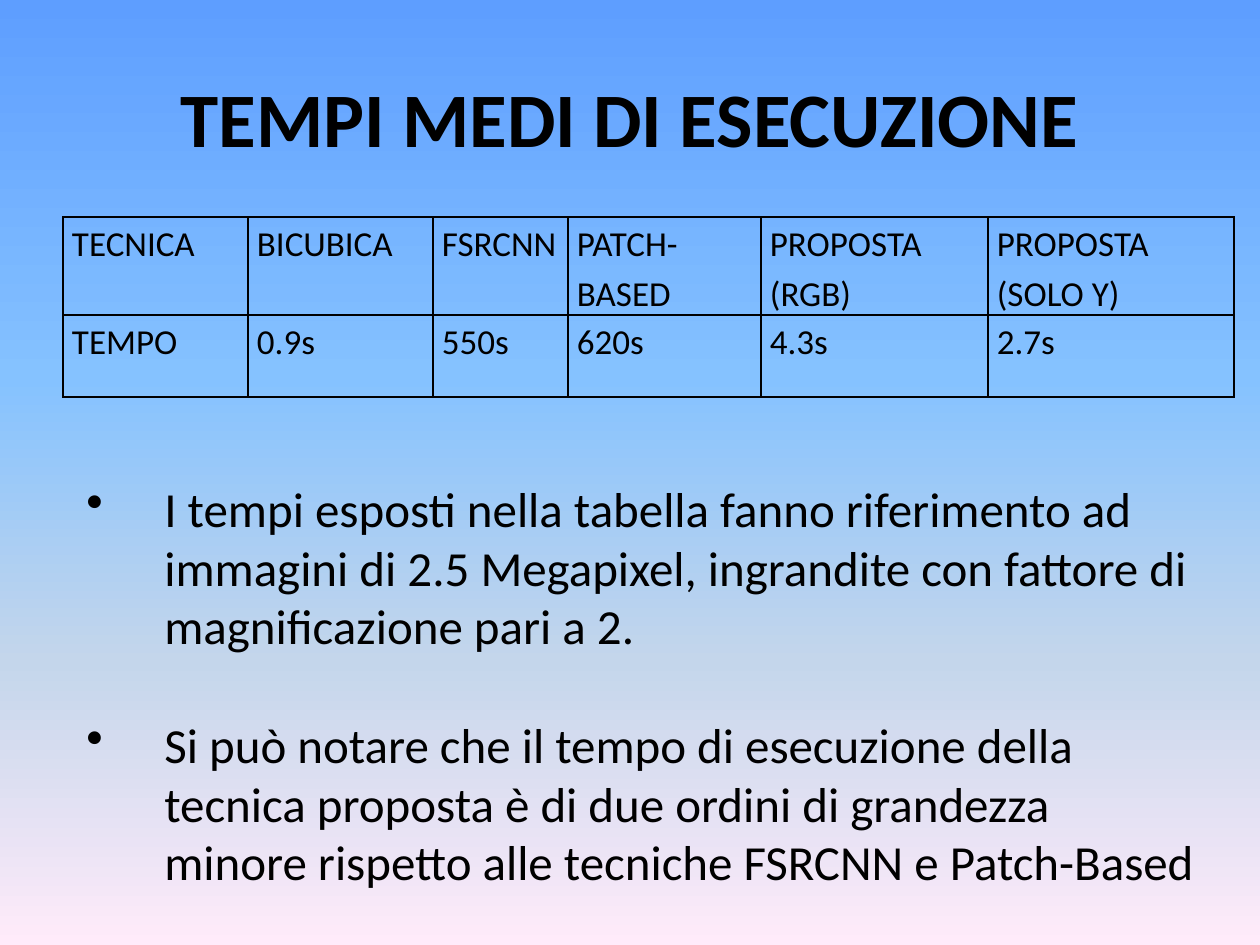
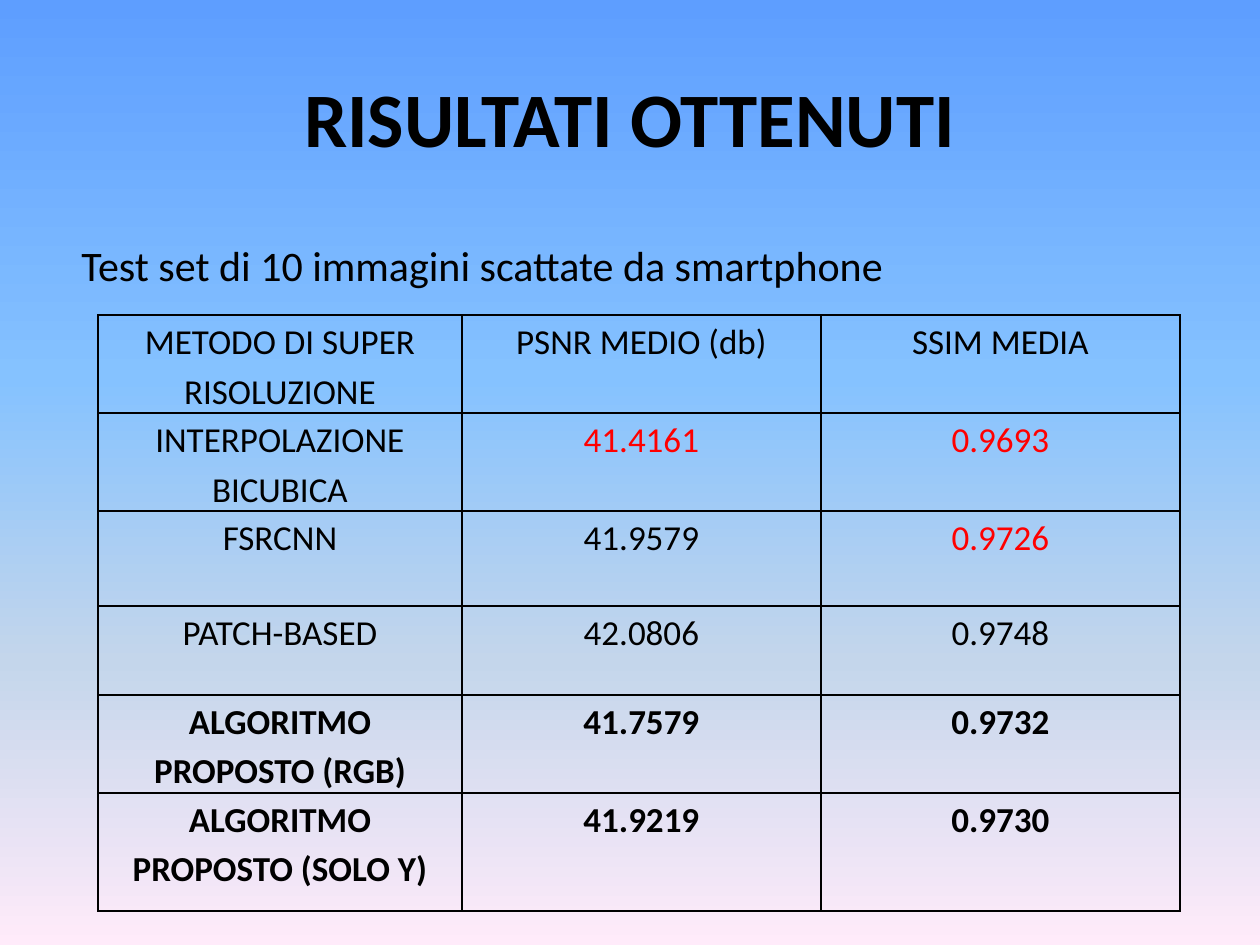
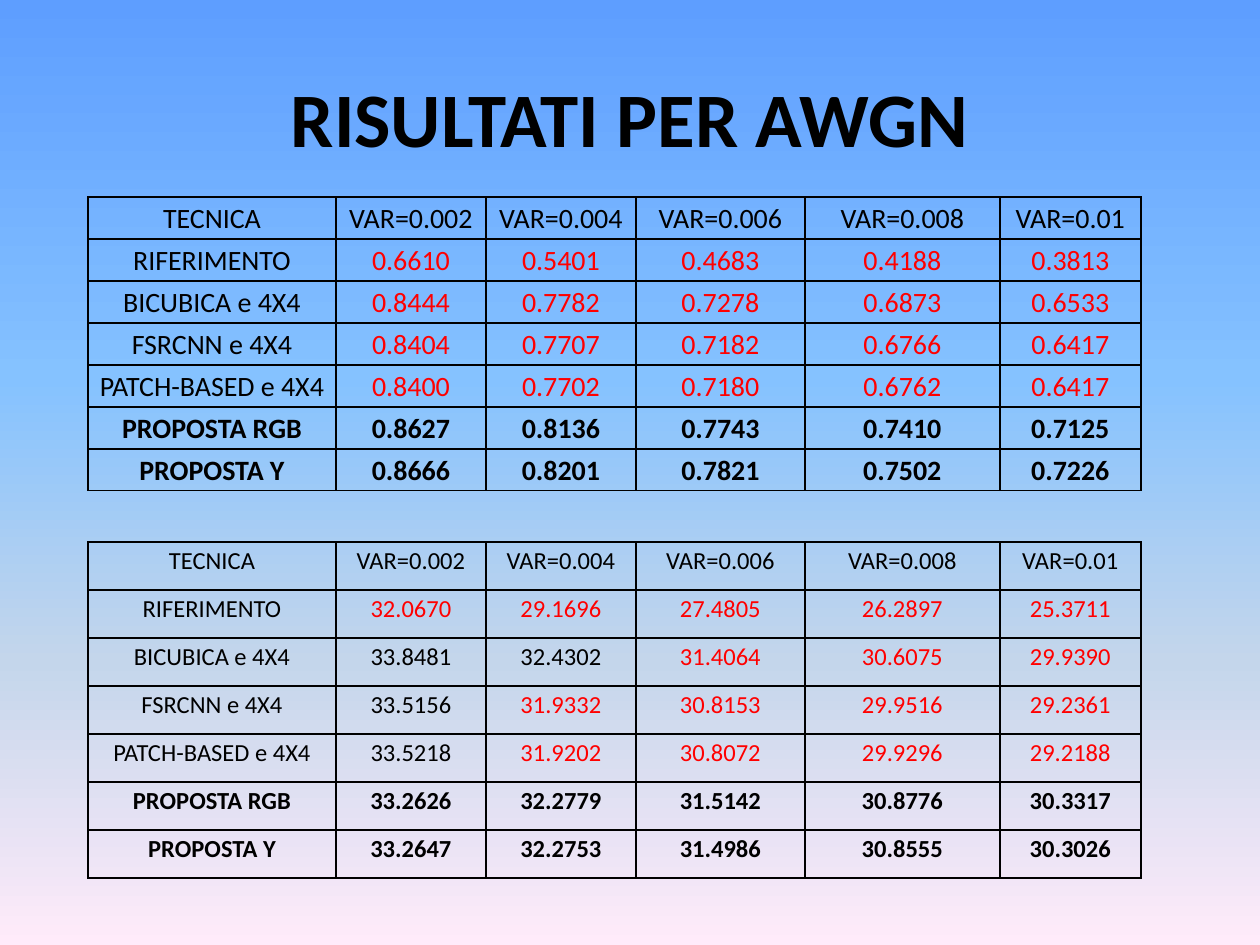
from lxml.etree import SubElement
from pptx import Presentation
from pptx.dml.color import RGBColor as Rgb
from pptx.enum.text import MSO_ANCHOR as Anchor, PP_ALIGN as Align
from pptx.oxml.ns import qn
from pptx.util import Emu, Pt

EMU_PER_PX = 914400 / 126
FONT = "Calibri"
COLORS = {
    "ink": "000000",
    "worse": "FF0000",
    "sky_top": "5E9EFF",
    "sky_mid": "85C2FF",
    "haze": "C4D6EB",
    "blush": "FFEBFA",
}
BACKGROUND_STOPS = [(0, "sky_top"), (40, "sky_mid"), (70, "haze"), (100, "blush")]
METHOD_ROWS = ["RIFERIMENTO", "BICUBICA e 4X4", "FSRCNN e 4X4",
               "PATCH-BASED e 4X4", "PROPOSTA RGB", "PROPOSTA Y"]
NOISE_HEADER = ["TECNICA", "VAR=0.002", "VAR=0.004", "VAR=0.006", "VAR=0.008", "VAR=0.01"]
NOISE_COLUMNS = [248, 150, 150, 169, 195, 141]
PROPOSED_COUNT = 2

EXECUTION_TIMES = [
    ["TECNICA", "BICUBICA", "FSRCNN", "PATCH-BASED", "PROPOSTA (RGB)", "PROPOSTA (SOLO Y)"],
    ["TEMPO", "0.9s", "550s", "620s", "4.3s", "2.7s"],
]
TIME_REMARKS = [
    "I tempi esposti nella tabella fanno riferimento ad immagini di 2.5 Megapixel, "
    "ingrandite con fattore di magnificazione pari a 2.",
    "Si può notare che il tempo di esecuzione della tecnica proposta è di due ordini "
    "di grandezza minore rispetto alle tecniche FSRCNN e Patch-Based",
]
SMARTPHONE_RESULTS = [
    ["METODO DI SUPER RISOLUZIONE", "PSNR MEDIO (db)", "SSIM MEDIA"],
    ["INTERPOLAZIONE BICUBICA", "41.4161", "0.9693"],
    ["FSRCNN", "41.9579", "0.9726"],
    ["PATCH-BASED", "42.0806", "0.9748"],
    ["ALGORITMO PROPOSTO (RGB)", "41.7579", "0.9732"],
    ["ALGORITMO PROPOSTO (SOLO Y)", "41.9219", "0.9730"],
]
NOISE_SSIM = [
    ["0.6610", "0.5401", "0.4683", "0.4188", "0.3813"],
    ["0.8444", "0.7782", "0.7278", "0.6873", "0.6533"],
    ["0.8404", "0.7707", "0.7182", "0.6766", "0.6417"],
    ["0.8400", "0.7702", "0.7180", "0.6762", "0.6417"],
    ["0.8627", "0.8136", "0.7743", "0.7410", "0.7125"],
    ["0.8666", "0.8201", "0.7821", "0.7502", "0.7226"],
]
NOISE_PSNR = [
    ["32.0670", "29.1696", "27.4805", "26.2897", "25.3711"],
    ["33.8481", "32.4302", "31.4064", "30.6075", "29.9390"],
    ["33.5156", "31.9332", "30.8153", "29.9516", "29.2361"],
    ["33.5218", "31.9202", "30.8072", "29.9296", "29.2188"],
    ["33.2626", "32.2779", "31.5142", "30.8776", "30.3317"],
    ["33.2647", "32.2753", "31.4986", "30.8555", "30.3026"],
]


def px(length):
    return Emu(round(length * EMU_PER_PX))


def paint_background(master):
    fill = master.background.fill
    fill.gradient()
    fill.gradient_angle = 270
    stops = next(master.element.iter(qn("a:gsLst")))
    for stop in list(stops):
        stops.remove(stop)
    for percent, color in BACKGROUND_STOPS:
        stop = SubElement(stops, qn("a:gs"), pos=str(percent * 1000))
        SubElement(stop, qn("a:srgbClr"), val=COLORS[color])


def style_paragraph(paragraph, size, color="ink", bold=False, align=Align.LEFT):
    paragraph.alignment = align
    font = paragraph.font
    font.name = FONT
    font.size = Pt(size)
    font.bold = bold
    font.color.rgb = Rgb.from_string(COLORS[color])


def add_bullet(paragraph, indent):
    properties = paragraph._p.get_or_add_pPr()
    properties.set("marL", str(px(indent)))
    properties.set("indent", str(px(-indent)))
    SubElement(properties, qn("a:buChar"), char="•")


def add_text(slide, box, lines, size, bulleted=False, **style):
    frame = slide.shapes.add_textbox(*map(px, box)).text_frame
    frame.word_wrap = True
    frame.vertical_anchor = Anchor.MIDDLE
    for index, line in enumerate(lines):
        paragraph = frame.add_paragraph() if index else frame.paragraphs[0]
        paragraph.text = line
        if index:
            paragraph.space_before = Pt(34)
        if bulleted:
            add_bullet(paragraph, 78)
        style_paragraph(paragraph, size, **style)


def add_titled_slide(deck, title):
    slide = deck.slides.add_slide(deck.slide_layouts[6])
    add_text(slide, (63, 38, 1134, 158), [title], 44, bold=True, align=Align.CENTER)
    return slide


def add_borders(cell):
    properties = cell._tc.get_or_add_tcPr()
    for side in ("lnL", "lnR", "lnT", "lnB"):
        line = SubElement(properties, qn(f"a:{side}"), w=str(Pt(1)))
        SubElement(SubElement(line, qn("a:solidFill")), qn("a:srgbClr"), val=COLORS["ink"])


def add_grid(slide, left, top, widths, heights, rows, size, align=Align.LEFT, style_of=None):
    grid = slide.shapes.add_table(len(rows), len(widths), px(left), px(top),
                                  px(sum(widths)), px(sum(heights))).table
    grid.first_row = grid.horz_banding = False
    for column, width in zip(grid.columns, widths):
        column.width = px(width)
    for row, height in zip(grid.rows, heights):
        row.height = px(height)
    for r, values in enumerate(rows):
        for c, value in enumerate(values):
            cell = grid.cell(r, c)
            cell.margin_left = cell.margin_right = px(9)
            cell.margin_top = cell.margin_bottom = 0
            add_borders(cell)
            cell.fill.background()
            cell.text = value
            paragraph = cell.text_frame.paragraphs[0]
            paragraph.line_spacing = 1.15
            style = style_of(r, c) if style_of else {}
            style_paragraph(paragraph, size, align=align, **style)


def add_comparison(slide, left, top, widths, heights, rows, size):
    first_proposed = len(rows) - PROPOSED_COUNT

    def style_of(r, c):
        if r >= first_proposed:
            return {"bold": True}
        if r and c and float(rows[r][c]) < min(float(row[c]) for row in rows[first_proposed:]):
            return {"color": "worse"}
        return {}

    add_grid(slide, left, top, widths, heights, rows, size, Align.CENTER, style_of)


def add_noise_table(slide, top, row_height, scores, size):
    rows = [NOISE_HEADER] + [[method, *values] for method, values in zip(METHOD_ROWS, scores)]
    add_comparison(slide, 88, top, NOISE_COLUMNS, [row_height] * len(rows), rows, size)


def main():
    deck = Presentation()
    deck.slide_width, deck.slide_height = px(1260), px(945)
    paint_background(deck.slide_master)

    times = add_titled_slide(deck, "TEMPI MEDI DI ESECUZIONE")
    add_grid(times, 63, 217, [185, 185, 135, 193, 227, 246], [98, 82], EXECUTION_TIMES, 20)
    add_text(times, (74, 512, 1134, 345), TIME_REMARKS, 28, bulleted=True)

    results = add_titled_slide(deck, "RISULTATI OTTENUTI")
    add_comparison(results, 98, 315, [364, 359, 359], [98, 98, 95, 89, 98, 118],
                   SMARTPHONE_RESULTS, 20)
    add_text(results, (69, 186, 1134, 158),
             ["Test set di 10 immagini scattate da smartphone"], 24)

    noise = add_titled_slide(deck, "RISULTATI PER AWGN")
    add_noise_table(noise, 197, 42, NOISE_SSIM, 16)
    add_noise_table(noise, 542, 48, NOISE_PSNR, 14)

    deck.save("out.pptx")


if __name__ == "__main__":
    main()
